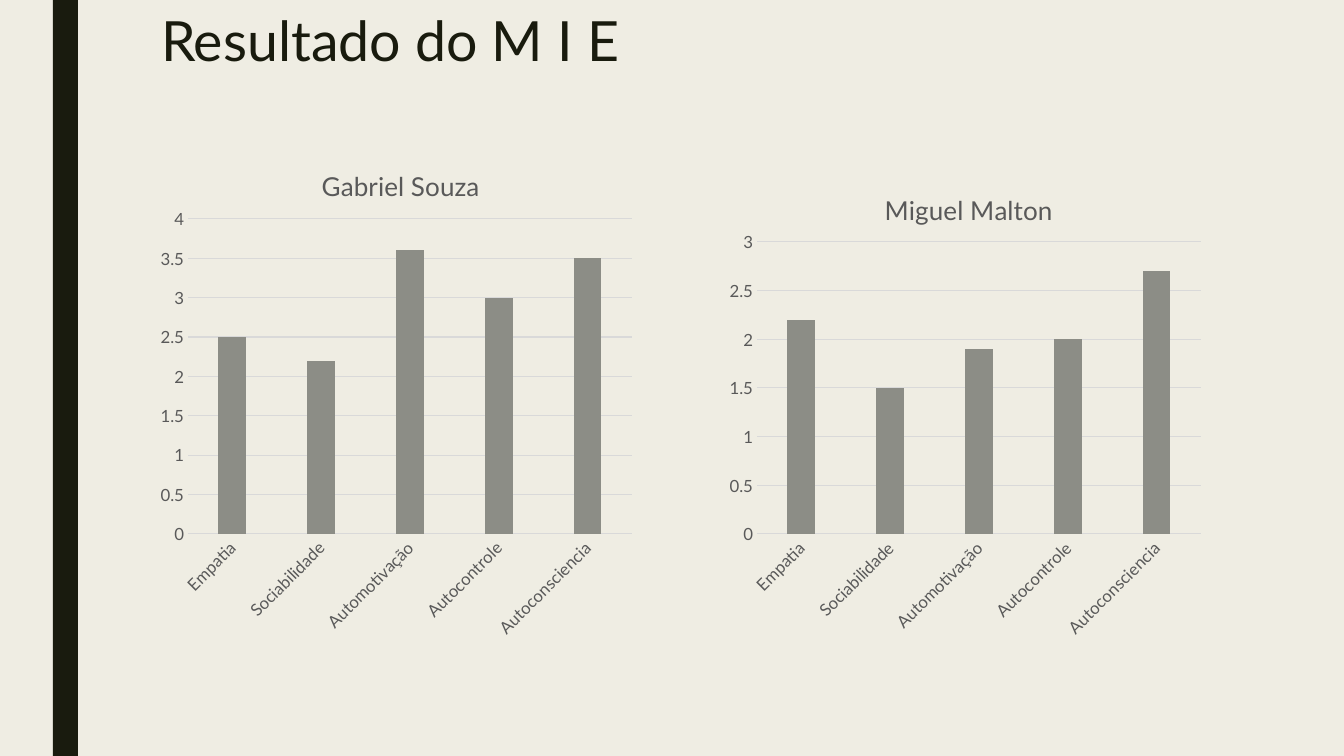
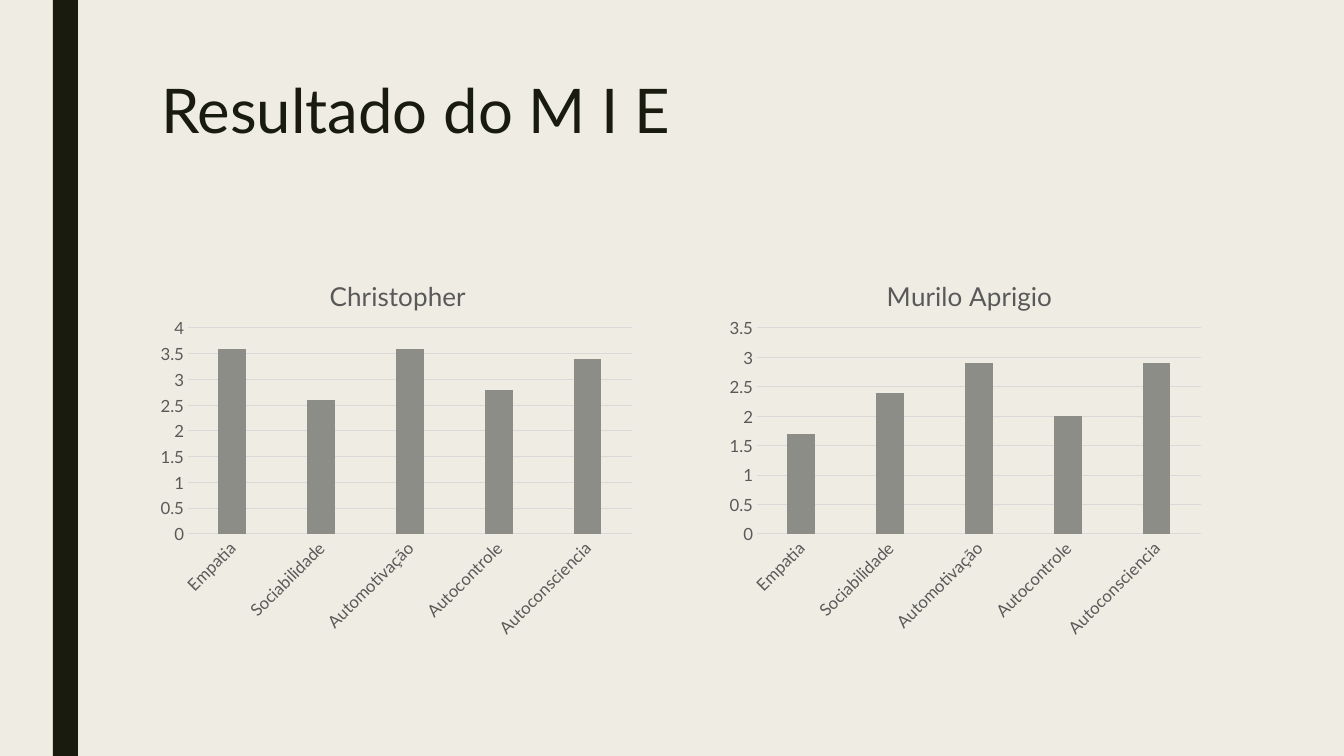
"""Build two slides that compare survey results in column charts."""
from dataclasses import dataclass

from lxml import etree
from pptx import Presentation
from pptx import util as u
from pptx.chart.data import CategoryChartData
from pptx.dml.color import RGBColor
from pptx.enum import chart as charts, shapes, text
from pptx.oxml.ns import qn

EMU_PER_PX = 914400 / 100.8
SLIDE_WIDTH, SLIDE_HEIGHT = 1344, 756
FONT = "Lato"
PAPER, INK, BAR, LABEL, GRID = "EFEDE3", "191B0E", "8C8D86", "595959", "D9D9D9"
CATEGORIES = ("Empatia", "Sociabilidade", "Automotivação", "Autocontrole", "Autoconsciencia")
CHART_LEFTS = (151, 720)
CHART_WIDTH, CHART_BOTTOM = 490, 647
PLOT_LEFT, PLOT_TOP, PLOT_WIDTH, PLOT_BOTTOM_GAP = 37, 76, 444, 113
CHART_TITLE_TOP = 20


@dataclass(frozen=True)
class PersonChart:
    """Scores of one person, with the chart's top and title offset in px."""
    name: str
    scores: tuple[float, ...]
    top: int
    title_left: int
    maximum: float


@dataclass(frozen=True)
class ResultSlide:
    """A title with its place and size, and the charts from left to right."""
    title: str
    title_top: int
    title_height: int
    title_size: float
    people: tuple[PersonChart, ...]


SLIDES = (
    ResultSlide("Resultado do M I E", 9, 67, 39.6, (
        PersonChart("Gabriel Souza", (2.5, 2.2, 3.6, 3, 3.5), 143, 166, 4),
        PersonChart("Miguel Malton", (2.2, 1.5, 1.9, 2, 2.7), 166, 160, 3),
    )),
    ResultSlide("Resultado do M I E", 76, 163, 44, (
        PersonChart("Christopher", (3.6, 2.6, 3.6, 2.8, 3.4), 252, 174, 4),
        PersonChart("Murilo Aprigio", (1.7, 2.4, 2.9, 2, 2.9), 252, 162, 3.5),
    )),
)


def px(length: int) -> u.Emu:
    """Turn px into EMU."""
    return u.Emu(round(length * EMU_PER_PX))


def color(value: str) -> RGBColor:
    """Turn a hex string into a colour."""
    return RGBColor.from_string(value)


def style_font(font, size: float, value: str) -> None:
    """Set the typeface, size and colour of a font."""
    font.name = FONT
    font.size = u.Pt(size)
    font.bold = False
    font.color.rgb = color(value)


def style_line(line, value: str) -> None:
    """Draw a thin line in one colour."""
    line.color.rgb = color(value)
    line.width = u.Pt(0.75)


def set_layout(parent, index: int, places: dict[str, float], inner: bool = False) -> None:
    """Give a chart part a manual place, in fractions of the chart."""
    for old in parent.findall(qn("c:layout")):
        parent.remove(old)
    layout = etree.Element(qn("c:layout"))
    manual = etree.SubElement(layout, qn("c:manualLayout"))
    if inner:
        etree.SubElement(manual, qn("c:layoutTarget")).set("val", "inner")
    for key in ("x", "y"):
        etree.SubElement(manual, qn(f"c:{key}Mode")).set("val", "edge")
    for key, fraction in places.items():
        etree.SubElement(manual, qn(f"c:{key}")).set("val", f"{fraction:.4f}")
    parent.insert(index, layout)


def style_axes(chart, maximum: float) -> None:
    """Format both axes and slant the category names."""
    category, value = chart.category_axis, chart.value_axis
    for axis in (category, value):
        axis.major_tick_mark = axis.minor_tick_mark = charts.XL_TICK_MARK.NONE
        style_font(axis.tick_labels.font, 12, LABEL)
    style_line(category.format.line, GRID)
    category_element = chart.element.find(".//" + qn("c:catAx"))
    category_element.find(".//" + qn("a:bodyPr")).set("rot", "-2700000")
    value.format.line.fill.background()
    value.has_major_gridlines = True
    style_line(value.major_gridlines.format.line, GRID)
    value.minimum_scale, value.maximum_scale, value.major_unit = 0, maximum, 0.5


def add_person_chart(slide, person: PersonChart, left: int) -> None:
    """Draw the column chart of one person."""
    height = CHART_BOTTOM - person.top
    data = CategoryChartData()
    data.categories = CATEGORIES
    data.add_series("Series 1", person.scores)
    chart = slide.shapes.add_chart(
        charts.XL_CHART_TYPE.COLUMN_CLUSTERED,
        px(left), px(person.top), px(CHART_WIDTH), px(height), data).chart
    style_font(chart.font, 10, "000000")
    chart.has_legend = False
    chart.has_title = True
    title = chart.chart_title
    title.text_frame.text = person.name
    style_font(title.text_frame.paragraphs[0].runs[0].font, 18.6, LABEL)
    set_layout(title.element, 1,
               {"x": person.title_left / CHART_WIDTH, "y": CHART_TITLE_TOP / height})
    plot = chart.plots[0]
    plot.gap_width, plot.overlap, plot.vary_by_categories = 219, -27, False
    fill = plot.series[0].format.fill
    fill.solid()
    fill.fore_color.rgb = color(BAR)
    style_axes(chart, person.maximum)
    set_layout(chart.element.find(".//" + qn("c:plotArea")), 0, {
        "x": PLOT_LEFT / CHART_WIDTH,
        "y": PLOT_TOP / height,
        "w": PLOT_WIDTH / CHART_WIDTH,
        "h": (height - PLOT_TOP - PLOT_BOTTOM_GAP) / height,
    }, inner=True)


def add_title(slide, result: ResultSlide) -> None:
    """Place and format the slide title."""
    shape = slide.shapes.title
    shape.left, shape.top = px(CHART_LEFTS[0]), px(result.title_top)
    shape.width, shape.height = px(1058), px(result.title_height)
    frame = shape.text_frame
    frame.text = result.title
    frame.auto_size = text.MSO_AUTO_SIZE.NONE
    frame.vertical_anchor = text.MSO_ANCHOR.TOP
    paragraph = frame.paragraphs[0]
    paragraph.alignment = text.PP_ALIGN.LEFT
    paragraph.line_spacing = 0.89
    style_font(paragraph.runs[0].font, result.title_size, INK)


def style_master(presentation, slide) -> None:
    """Give the slide master its background and side band."""
    master = presentation.slide_master
    master.background.fill.solid()
    master.background.fill.fore_color.rgb = color(PAPER)
    band = slide.shapes.add_shape(
        shapes.MSO_SHAPE.RECTANGLE, px(53), 0, px(25), px(SLIDE_HEIGHT))
    band.shadow.inherit = False
    band.fill.solid()
    band.fill.fore_color.rgb = color(INK)
    band.line.fill.background()
    master.shapes.element.insert(2, band.element)


def main() -> None:
    """Build and save the presentation."""
    presentation = Presentation()
    presentation.slide_width, presentation.slide_height = px(SLIDE_WIDTH), px(SLIDE_HEIGHT)
    for number, result in enumerate(SLIDES):
        slide = presentation.slides.add_slide(presentation.slide_layouts[5])
        if number == 0:
            style_master(presentation, slide)
        add_title(slide, result)
        for person, left in zip(result.people, CHART_LEFTS):
            add_person_chart(slide, person, left)
    presentation.save("out.pptx")


if __name__ == "__main__":
    main()
